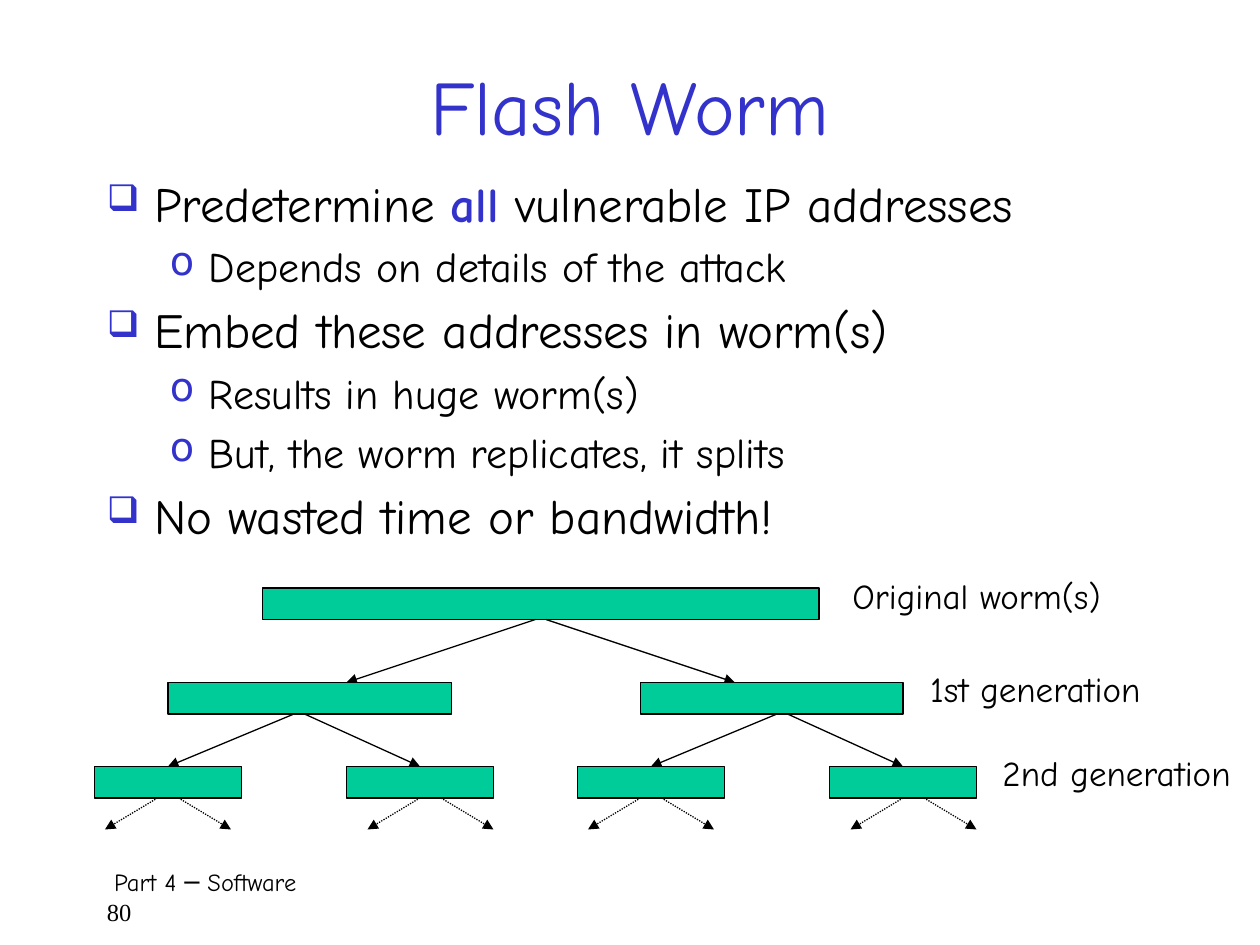
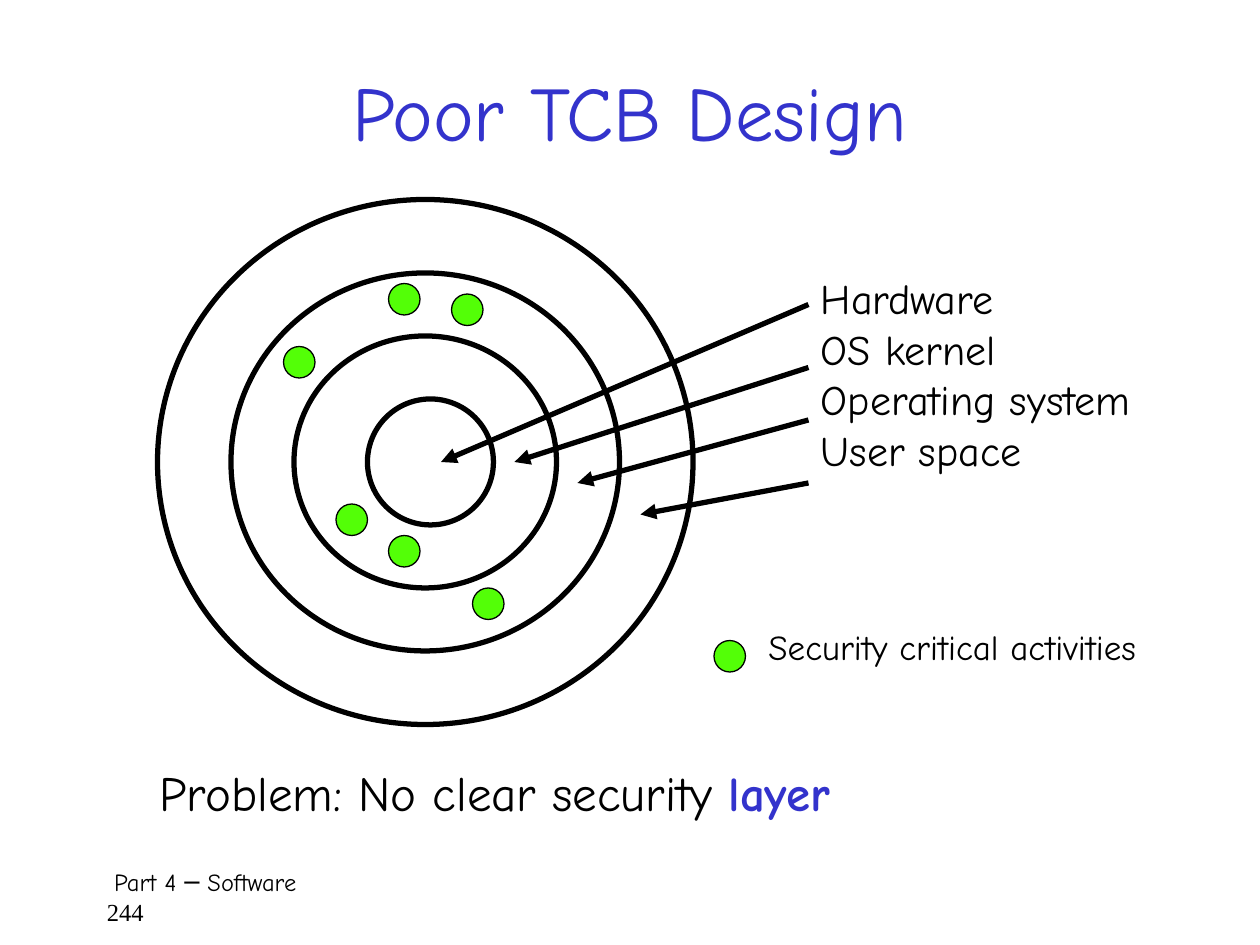
import pptx
import pptx.util
import pptx.dml.color
import pptx.enum.dml
import pptx.enum.shapes
import pptx.enum.text
import pptx.oxml.ns
import lxml.etree

PX_PER_INCH = 120
EMU_PER_PX = 914400 // PX_PER_INCH
COLOURS = {
    "text": "000000",
    "accent": "3333CC",
    "worm": "00CC99",
    "critical": "53FF07",
}
FONT = "Comic Neue"
NUMBER_FONT = "Times New Roman"
TITLE_ONLY = 5
BAR_HEIGHT = 30
DOT_SIZE = 30
LEVELS = [
    {"mark": "❑", "scale": 75, "size": 28, "margin": 45, "hang": 45},
    {"mark": "o", "scale": 95, "size": 24, "margin": 97, "hang": 37},
]
RECT = pptx.enum.shapes.MSO_SHAPE.RECTANGLE
OVAL = pptx.enum.shapes.MSO_SHAPE.OVAL


def px(length):
    return pptx.util.Emu(length * EMU_PER_PX)


def rgb(name):
    return pptx.dml.color.RGBColor.from_string(COLOURS[name])


def add_child(parent, tag, **attributes):
    return lxml.etree.SubElement(parent, pptx.oxml.ns.qn(tag), attributes)


def add_run(paragraph, text, size, colour="text", bold=False, font=FONT):
    run = paragraph.add_run()
    run.text = text
    run.font.size = pptx.util.Pt(size)
    run.font.name = font
    run.font.bold = bold
    run.font.color.rgb = rgb(colour)


def add_phrases(paragraph, phrases, size):
    for position, phrase in enumerate(phrases):
        emphasised = position % 2 == 1
        add_run(paragraph, phrase, size, "accent" if emphasised else "text", emphasised)


def add_frame(slide, box):
    frame = slide.shapes.add_textbox(*map(px, box)).text_frame
    frame.word_wrap = True
    return frame


def paragraphs_for(frame, items):
    for position, item in enumerate(items):
        yield position, frame.paragraphs[0] if position == 0 else frame.add_paragraph(), item


def add_label(slide, box, lines, size):
    frame = add_frame(slide, box)
    for _, paragraph, phrases in paragraphs_for(frame, lines):
        add_phrases(paragraph, phrases, size)


def add_bullets(slide, box, items):
    frame = add_frame(slide, box)
    for position, paragraph, (depth, phrases) in paragraphs_for(frame, items):
        level = LEVELS[depth]
        properties = paragraph._p.get_or_add_pPr()
        properties.set("marL", str(px(level["margin"])))
        properties.set("indent", str(-px(level["hang"])))
        colour = add_child(properties, "a:buClr")
        add_child(colour, "a:srgbClr", val=COLOURS["accent"])
        add_child(properties, "a:buSzPct", val=str(level["scale"] * 1000))
        add_child(properties, "a:buChar", char=level["mark"])
        paragraph.level = depth
        paragraph.line_spacing = 0.8
        paragraph.space_before = pptx.util.Pt(0.2 * level["size"] if position else 0)
        paragraph.space_after = pptx.util.Pt(6)
        add_phrases(paragraph, phrases, level["size"])


def add_outlined(slide, preset, box, fill=None, width=0.75):
    shape = slide.shapes.add_shape(preset, *map(px, box))
    shape.shadow.inherit = False
    if fill:
        shape.fill.solid()
        shape.fill.fore_color.rgb = rgb(fill)
    else:
        shape.fill.background()
    shape.line.color.rgb = rgb("text")
    shape.line.width = pptx.util.Pt(width)


def add_arrow(slide, start, end, width=0.75, dotted=False):
    arrow = slide.shapes.add_connector(
        pptx.enum.shapes.MSO_CONNECTOR.STRAIGHT, *map(px, start + end))
    arrow.line.color.rgb = rgb("text")
    arrow.line.width = pptx.util.Pt(width)
    if dotted:
        arrow.line.dash_style = pptx.enum.dml.MSO_LINE.ROUND_DOT
    add_child(arrow.line._get_or_add_ln(), "a:tailEnd", type="triangle")
    add_child(arrow._element.spPr, "a:effectLst")


def add_fork(slide, left, top, gap, reach, drop, dotted=False):
    right = left + gap
    left_reach, right_reach = reach
    add_arrow(slide, (left, top), (left - left_reach, top + drop), dotted=dotted)
    add_arrow(slide, (right, top), (right + right_reach, top + drop), dotted=dotted)


def add_dot(slide, left, top):
    add_outlined(slide, OVAL, (left, top, DOT_SIZE, DOT_SIZE), "critical")


def add_titled_slide(deck, title, title_box, number):
    slide = deck.slides.add_slide(deck.slide_layouts[TITLE_ONLY])
    heading = slide.shapes.title
    heading.left, heading.top, heading.width, heading.height = map(px, title_box)
    heading.text_frame.auto_size = pptx.enum.text.MSO_AUTO_SIZE.NONE
    heading.text_frame.vertical_anchor = pptx.enum.text.MSO_ANCHOR.MIDDLE
    paragraph = heading.text_frame.paragraphs[0]
    paragraph.alignment = pptx.enum.text.PP_ALIGN.CENTER
    add_run(paragraph, title, 44, "accent")

    footer = add_frame(slide, (90, 820, 1030, 60))
    part = footer.paragraphs[0]
    part._p.get_or_add_pPr().set("marL", str(px(7)))
    add_run(part, "Part 4 ─ Software", 14)
    add_run(footer.add_paragraph(), number, 14, font=NUMBER_FONT)
    return slide


def build_flash_worm(deck):
    slide = add_titled_slide(deck, "Flash Worm", (90, 50, 1020, 100), "80")
    add_bullets(slide, (90, 170, 1030, 360), [
        (0, ["Predetermine ", "all", " vulnerable IP addresses"]),
        (1, ["Depends on details of the attack"]),
        (0, ["Embed these addresses in worm(s)"]),
        (1, ["Results in huge worm(s)"]),
        (1, ["But, the worm replicates, it splits"]),
        (0, ["No wasted time or bandwidth!"]),
    ])
    generations = [
        {"top": 560, "worms": [(250, 530)], "forks": [510],
         "gap": 10, "reach": (180, 180), "drop": 60},
        {"top": 650, "worms": [(160, 270), (610, 250)], "forks": [280, 740],
         "gap": 10, "reach": (120, 110), "drop": 50},
        {"top": 730, "worms": [(left, 140) for left in (90, 330, 550, 790)],
         "forks": [150, 400, 610, 860],
         "gap": 20, "reach": (50, 50), "drop": 30, "dotted": True},
    ]
    for generation in generations:
        top = generation["top"]
        for left, width in generation["worms"]:
            add_outlined(slide, RECT, (left, top, width, BAR_HEIGHT), "worm")
        for left in generation["forks"]:
            add_fork(slide, left, top + BAR_HEIGHT, generation["gap"],
                     generation["reach"], generation["drop"],
                     generation.get("dotted", False))
    for name, left, top, width in [
        ("Original worm(s)", 800, 541, 280),
        ("1st generation", 874, 630, 246),
        ("2nd generation", 943, 710, 257),
    ]:
        add_label(slide, (left, top, width, 59), [[name]], 20)


def build_poor_tcb(deck):
    slide = add_titled_slide(deck, "Poor TCB Design", (90, 40, 1020, 130), "244")
    for ring in [(350, 380, 120, 120), (280, 320, 250, 240),
                 (220, 260, 370, 360), (150, 190, 510, 500)]:
        add_outlined(slide, OVAL, ring, width=3)
    layers = ["Hardware", "OS kernel", "Operating system", "User space"]
    add_label(slide, (770, 254, 355, 235), [[layer] for layer in layers], 24)
    for start_y, target in [(290, (420, 440)), (350, (490, 440)),
                            (400, (550, 460)), (460, (610, 490))]:
        add_arrow(slide, (770, start_y), target, width=3)
    for left, top in [(430, 280), (320, 480), (270, 330),
                      (370, 270), (450, 560), (370, 510)]:
        add_dot(slide, left, top)
    add_dot(slide, 680, 610)
    add_label(slide, (720, 590, 433, 59), [["Security critical activities"]], 20)
    add_label(slide, (140, 720, 730, 77), [["Problem: No clear security ", "layer"]], 28)


def main():
    deck = pptx.Presentation()
    deck.slide_width, deck.slide_height = px(1200), px(900)
    build_flash_worm(deck)
    build_poor_tcb(deck)
    deck.save("out.pptx")


if __name__ == "__main__":
    main()
